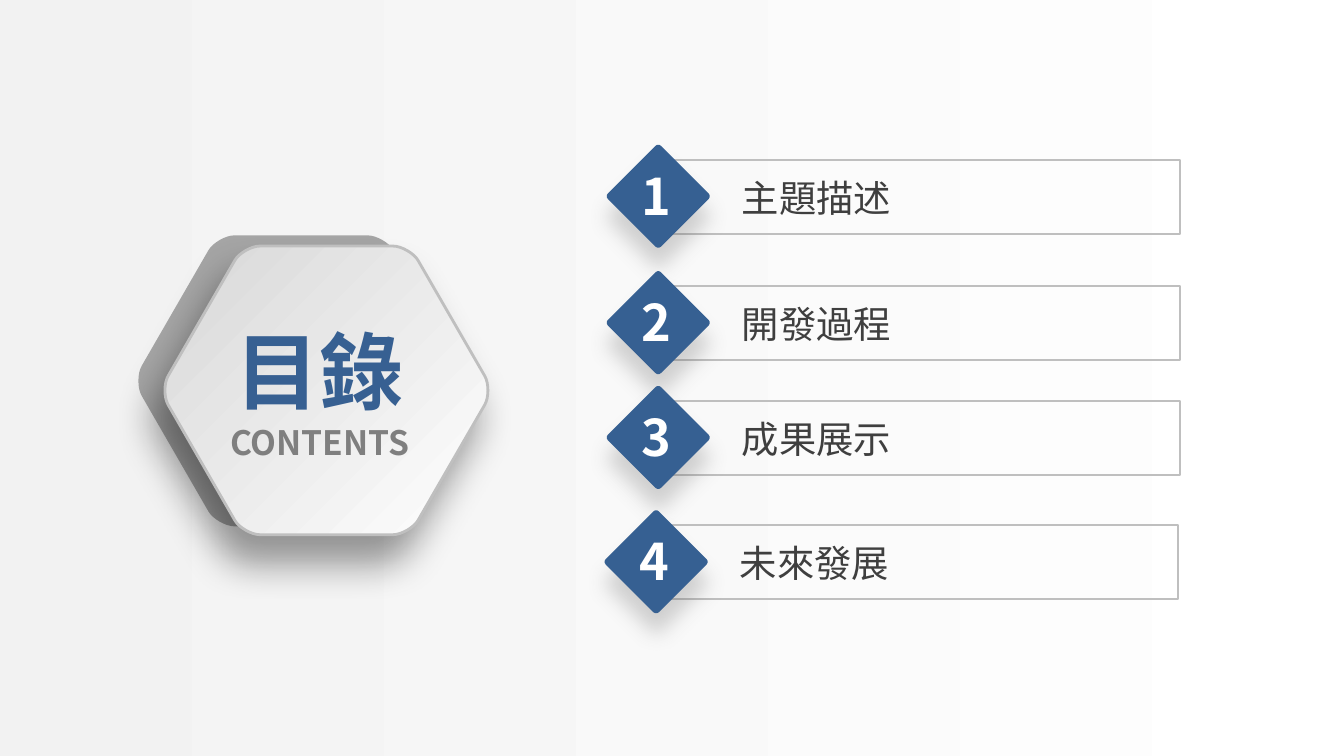
from dataclasses import dataclass
from math import cos, radians, sin

from lxml import etree
from pptx import Presentation
from pptx import util as u
from pptx.dml.color import RGBColor
from pptx.enum import shapes, text
from pptx.oxml import ns


@dataclass(frozen=True)
class Theme:
    """Colours, font and type sizes of the deck."""
    font: str = "Noto Sans CJK SC"
    title: str = "376092"
    accent: str = "366092"
    subtitle: str = "7F7F7F"
    body: str = "3F3F3F"
    light: str = "FFFFFF"
    border: str = "BFBFBF"
    back: str = "A5A5A5"
    page: tuple = ("F2F2F2", "FFFFFF")
    plate: tuple = ("D8D8D8", "FEFEFE")
    title_size: float = 45
    number_size: float = 27
    label_size: float = 20
    subtitle_size: float = 18


T = Theme()
WIDE_INSETS = (0.25, 0.13)
INSETS = (0.18, 0.1)


def rgb(value):
    """Return a colour from its hex value."""
    return RGBColor.from_string(value)


def fill_gradient(fill, colours, angle):
    """Fill with a two-colour linear gradient."""
    fill.gradient()
    fill.gradient_angle = angle
    for stop, colour in zip(fill.gradient_stops, colours):
        stop.color.rgb = rgb(colour)


def add_shadow(sp, colour, alpha, blur, dist, angle):
    """Give a shape an outer shadow, with lengths in points."""
    effects = sp._element.spPr.find(ns.qn("a:effectLst"))
    shadow = etree.SubElement(
        effects, ns.qn("a:outerShdw"), blurRad=str(u.Pt(blur)),
        dist=str(u.Pt(dist)), dir=str(angle * 60000), algn="ctr", rotWithShape="0")
    tint = etree.SubElement(shadow, ns.qn("a:srgbClr"), val=colour)
    etree.SubElement(tint, ns.qn("a:alpha"), val=str(alpha * 1000))


def set_text(sp, words, size, colour, bold=False, align=text.PP_ALIGN.LEFT,
             anchor=text.MSO_ANCHOR.TOP, insets=INSETS):
    """Write one formatted paragraph into a shape."""
    tf = sp.text_frame
    tf.word_wrap = True
    tf.auto_size = text.MSO_AUTO_SIZE.NONE
    tf.vertical_anchor = anchor
    tf.margin_left = tf.margin_right = u.Cm(insets[0])
    tf.margin_top = tf.margin_bottom = u.Cm(insets[1])
    p = tf.paragraphs[0]
    p.text = words
    p.alignment = align
    p.font.size = u.Pt(size)
    p.font.bold = bold
    p.font.color.rgb = rgb(colour)
    p.font.name = T.font
    props = p._p.get_or_add_pPr().find(ns.qn("a:defRPr"))
    etree.SubElement(props, ns.qn("a:ea"), typeface=T.font)


def add_text(parent, left, top, width, height, *args, **kwargs):
    """Add a text box, with lengths in centimetres."""
    sp = parent.add_textbox(*map(u.Cm, (left, top, width, height)))
    set_text(sp, *args, **kwargs)


def hexagon_points(cx, cy, radius, cut=0.1, steps=8):
    """Return the outline of a regular hexagon with rounded corners."""
    corners = [(cx + radius * cos(radians(a)), cy + radius * sin(radians(a)))
               for a in range(0, 360, 60)]

    def toward(a, b, share):
        return tuple(m + (n - m) * share for m, n in zip(a, b))

    points = []
    for i, corner in enumerate(corners):
        before, after = corners[i - 1], corners[(i + 1) % 6]
        curve = (toward(corner, before, cut), toward(corner, before, cut / 2),
                 toward(corner, after, cut / 2), toward(corner, after, cut))
        for k in range(steps + 1):
            t = k / steps
            weights = ((1 - t) ** 3, 3 * t * (1 - t) ** 2, 3 * t * t * (1 - t), t ** 3)
            points.append(tuple(sum(w * q[axis] for w, q in zip(weights, curve))
                                for axis in (0, 1)))
    return points


def add_hexagon(s, cx, cy, radius, line, weight):
    """Add a rounded hexagon around a centre."""
    points = [tuple(map(u.Cm, q)) for q in hexagon_points(cx, cy, radius)]
    builder = s.shapes.build_freeform(*points[0])
    builder.add_line_segments(points[1:], close=True)
    sp = builder.convert_to_shape()
    sp.shadow.inherit = False
    sp.line.color.rgb = rgb(line)
    sp.line.width = u.Pt(weight)
    return sp


def add_badge(s, cx, cy, radius, title, subtitle):
    """Place the hexagon badge with the slide title around a centre."""
    back = add_hexagon(s, cx - 0.48, cy - 0.18, radius, T.back, 1.25)
    back.fill.solid()
    back.fill.fore_color.rgb = rgb(T.back)
    plate = add_hexagon(s, cx, cy, radius, T.border, 1.5)
    fill_gradient(plate.fill, T.plate, 315)
    add_shadow(plate, "000000", 40, 21, 16, 113)

    sp = s.shapes.title
    s.shapes._spTree.append(sp._element)
    sp.left, sp.top, sp.width, sp.height = map(u.Cm, (cx - 2.41, cy - 1.48, 4.55, 2.18))
    set_text(sp, title, T.title_size, T.title, True,
             text.PP_ALIGN.CENTER, insets=WIDE_INSETS)
    add_text(s.shapes, cx - 2.41, cy + 0.45, 4.57, 1.07, subtitle, T.subtitle_size,
             T.subtitle, True, text.PP_ALIGN.CENTER, text.MSO_ANCHOR.MIDDLE)


def add_entry(s, left, top, width, height, number, label):
    """Place one numbered contents entry in its box."""
    group = s.shapes.add_group_shape().shapes
    bar = group.add_shape(shapes.MSO_SHAPE.RECTANGLE,
                          *map(u.Cm, (left, top, width, height)))
    bar.shadow.inherit = False
    bar.fill.background()
    bar.line.color.rgb = rgb(T.border)
    bar.line.width = u.Pt(1)
    add_text(group, left + 1.42, top + 0.19, 6.91, 1.04, label, T.label_size, T.body)

    diamond = group.add_shape(shapes.MSO_SHAPE.ROUNDED_RECTANGLE,
                              *map(u.Cm, (left - 0.69, top - 0.02, 1.42, 1.42)))
    diamond.adjustments[0] = 0.05
    diamond.rotation = 45
    diamond.shadow.inherit = False
    diamond.fill.solid()
    diamond.fill.fore_color.rgb = rgb(T.accent)
    diamond.line.fill.background()
    add_shadow(diamond, "595959", 25, 11, 11, 90)
    add_text(group, left - 0.48, top, 0.97, 1.35, str(number),
             T.number_size, T.light, True)


def add_contents_slide(prs):
    """Build the contents slide."""
    s = prs.slides.add_slide(prs.slide_layouts[5])
    fill_gradient(s.background.fill, T.page, 0)
    add_badge(s, 6.17, 7.38, 3.15, "目錄", "CONTENTS")
    entries = (("主題描述", 12.42, 3.02), ("開發過程", 12.42, 5.41),
               ("成果展示", 12.42, 7.58), ("未來發展", 12.38, 9.93))
    for number, (label, left, top) in enumerate(entries, 1):
        add_entry(s, left, top, 9.88, 1.4, number, label)


def main():
    """Create and save the deck."""
    prs = Presentation()
    prs.slide_width, prs.slide_height = u.Cm(25.4), u.Cm(14.29)
    add_contents_slide(prs)
    prs.save("out.pptx")


if __name__ == "__main__":
    main()
